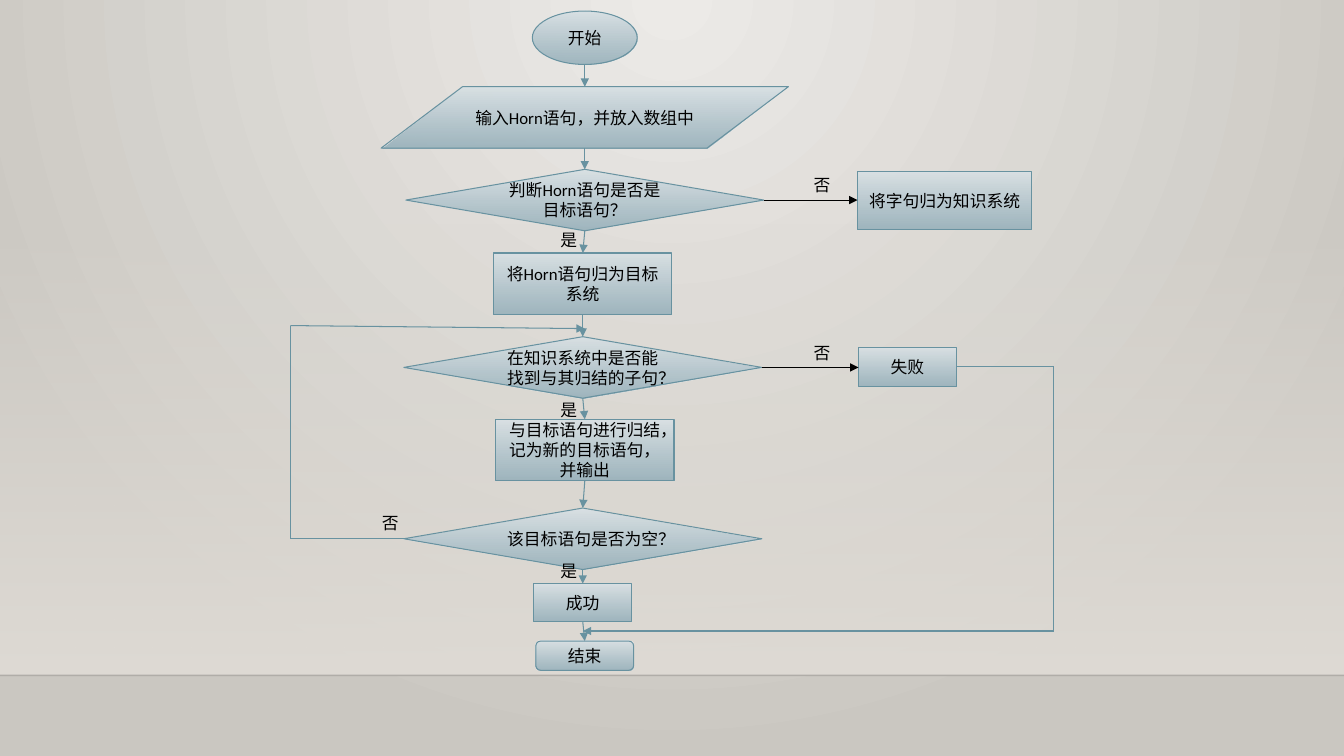
from lxml import etree
from pptx import Presentation
from pptx import util as u
from pptx.dml.color import RGBColor
from pptx.enum import shapes, text
from pptx.oxml.ns import qn

WIDTH, HEIGHT = 13.33, 7.5
BLACK = RGBColor(0, 0, 0)
TEAL = RGBColor(0x68, 0x92, 0xA0)
BOX_TOP, BOX_BOTTOM = RGBColor(0xD9, 0xE1, 0xE4), RGBColor(0x9A, 0xB2, 0xBC)
WALL_LIGHT, WALL_DARK = RGBColor(0xEC, 0xEA, 0xE7), RGBColor(0xCA, 0xC7, 0xC1)
FLOOR = RGBColor(0xDF, 0xDB, 0xD5)
FONT, SIZE = "Calibri", 12

# Flowchart content: name -> (wording, preset, centre x, top, size)
KIND = shapes.MSO_SHAPE
DIAMOND, STEP, SMALL = (3.55, 0.61), (1.77, 0.61), (0.97, 0.38)
NODES = {
    "start": ("开始", KIND.OVAL, 5.8, 0.11, (1.04, 0.53)),
    "input": ("输入Horn语句，并放入数组中", KIND.FLOWCHART_DATA, 5.8, 0.86, (4.04, 0.61)),
    "is_goal": ("判断Horn语句是否是目标语句？", KIND.FLOWCHART_DECISION, 5.8, 1.68, DIAMOND),
    "to_goals": ("将Horn语句归为目标系统", KIND.FLOWCHART_PROCESS, 5.78, 2.51, STEP),
    "can_resolve": ("在知识系统中是否能找到与其归结的子句？",
                    KIND.FLOWCHART_DECISION, 5.78, 3.34, DIAMOND),
    "resolve": ("与目标语句进行归结，记为新的目标语句，并输出",
                KIND.FLOWCHART_PROCESS, 5.8, 4.16, STEP),
    "is_empty": ("该目标语句是否为空？", KIND.FLOWCHART_DECISION, 5.78, 5.04, DIAMOND),
    "success": ("成功", KIND.FLOWCHART_PROCESS, 5.78, 5.79, SMALL),
    "end": ("结束", KIND.ROUNDED_RECTANGLE, 5.8, 6.36, (0.97, 0.29)),
    "to_knowledge": ("将字句归为知识系统", KIND.FLOWCHART_PROCESS, 9.37, 1.7, (1.73, 0.58)),
    "failure": ("失败", KIND.FLOWCHART_PROCESS, 9.0, 3.45, SMALL),
}
MAIN_PATH = ["start", "input", "is_goal", "to_goals", "can_resolve",
             "resolve", "is_empty", "success", "end"]
NO_BRANCHES = [("is_goal", "to_knowledge"), ("can_resolve", "failure")]
LABELS = [("是", 5.46, 2.23), ("是", 5.46, 3.92), ("是", 5.46, 5.51),
          ("否", 3.69, 5.04), ("否", 7.97, 1.68), ("否", 7.97, 3.35)]
LOOP_X, FAIL_X = 2.88, 10.45


def set_alpha(element, percent):
    color = element.find(".//" + qn("a:srgbClr"))
    etree.SubElement(color, qn("a:alpha")).set("val", str(percent * 1000))


def fill_gradient(fill, first, last):
    fill.gradient()
    for stop, color in zip(fill.gradient_stops, (first, last)):
        stop.color.rgb = color
    fill.gradient_angle = 270  # downwards


def stops_of(element):
    return list(element.iter(qn("a:gs")))


def write(para, wording):
    para.text = wording
    para.font.name, para.font.size = FONT, u.Pt(SIZE)
    para.font.color.rgb = BLACK


def add_line(page, start, finish, color=TEAL, width=0.75, arrow=False):
    points = [u.Inches(value) for value in (*start, *finish)]
    line = page.shapes.add_connector(shapes.MSO_CONNECTOR.STRAIGHT, *points)
    line.line.color.rgb, line.line.width = color, u.Pt(width)
    if arrow:
        etree.SubElement(line.line._get_or_add_ln(), qn("a:tailEnd")).set("type", "triangle")
    etree.SubElement(line._element.spPr, qn("a:effectLst"))
    return line


def add_node(page, wording, preset, center, top, size):
    box = page.shapes.add_shape(preset, u.Inches(center - size[0] / 2), u.Inches(top),
                                u.Inches(size[0]), u.Inches(size[1]))
    box.shadow.inherit = False
    fill_gradient(box.fill, BOX_TOP, BOX_BOTTOM)
    set_alpha(stops_of(box._element)[1], 92)
    box.line.color.rgb, box.line.width = TEAL, u.Pt(0.75)
    box.text_frame.vertical_anchor = text.MSO_ANCHOR.MIDDLE
    para = box.text_frame.paragraphs[0]
    para.alignment = text.PP_ALIGN.CENTER
    write(para, wording)


def side(name, where):
    _, _, center, top, (width, height) = NODES[name]
    across, down = {"top": (0, 0), "bottom": (0, 1),
                    "left": (-0.5, 0.5), "right": (0.5, 0.5)}[where]
    return center + across * width, top + down * height


def add_backdrop(page):
    fill_gradient(page.background.fill, WALL_LIGHT, WALL_DARK)
    gradient = next(page._element.iter(qn("a:gradFill")))
    gradient.remove(gradient.find(qn("a:lin")))
    circle = etree.SubElement(gradient, qn("a:path"))
    circle.set("path", "circle")
    target = etree.SubElement(circle, qn("a:fillToRect"))
    for edge, share in zip("ltrb", (43, 0, 43, 100)):
        target.set(edge, str(share * 1000))
    haze = page.shapes.add_shape(KIND.RECTANGLE, 0, u.Inches(2.21),
                                 u.Inches(WIDTH), u.Inches(4.49))
    haze.shadow.inherit = False
    fill_gradient(haze.fill, FLOOR, FLOOR)
    set_alpha(stops_of(haze._element)[0], 0)
    haze.line.fill.background()
    horizon = add_line(page, (0, 6.7), (WIDTH, 6.7), BLACK, 1)
    set_alpha(horizon._element, 20)


def main():
    deck = Presentation()
    deck.slide_width, deck.slide_height = u.Inches(WIDTH), u.Inches(HEIGHT)
    page = deck.slides.add_slide(deck.slide_layouts[6])
    add_backdrop(page)

    for node in NODES.values():
        add_node(page, *node)

    # Main path and the "no" branches
    for upper, lower in zip(MAIN_PATH, MAIN_PATH[1:]):
        add_line(page, side(upper, "bottom"), side(lower, "top"), arrow=True)
    for question, outcome in NO_BRANCHES:
        start = side(question, "right")
        add_line(page, start, (side(outcome, "left")[0], start[1]), BLACK, arrow=True)

    # Failure runs to the end; a non-empty goal loops back
    failure, empty = side("failure", "right"), side("is_empty", "left")
    routes = [
        [failure, (FAIL_X, failure[1]), (FAIL_X, 6.26), (5.78, 6.26)],
        [empty, (LOOP_X, empty[1]), (LOOP_X, 3.23), (5.8, 3.26)],
    ]
    for route in routes:
        for index in range(3):
            add_line(page, route[index], route[index + 1], arrow=index == 2)

    # Branch labels
    for wording, left, top in LABELS:
        label = page.shapes.add_textbox(u.Inches(left), u.Inches(top),
                                        u.Inches(0.41), u.Inches(0.3))
        label.text_frame.word_wrap = True
        label.text_frame.auto_size = text.MSO_AUTO_SIZE.SHAPE_TO_FIT_TEXT
        write(label.text_frame.paragraphs[0], wording)

    deck.save("out.pptx")


if __name__ == "__main__":
    main()
